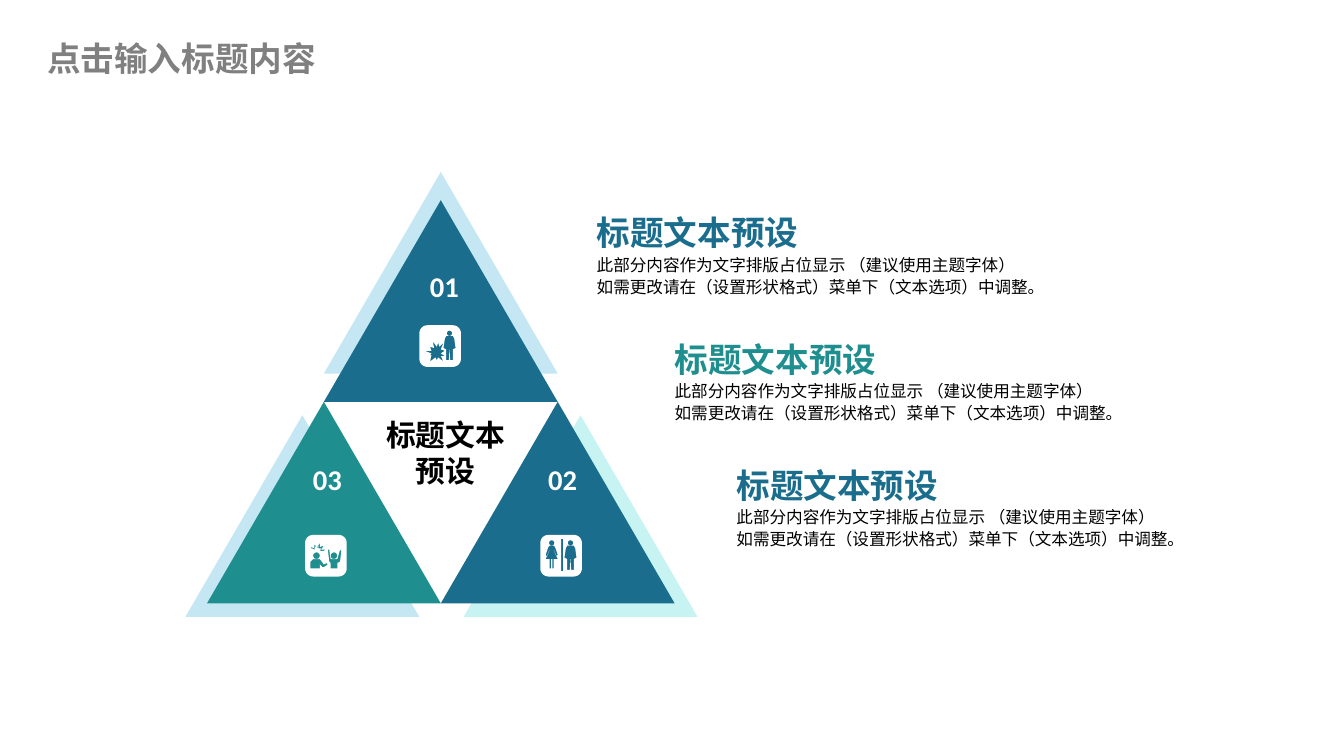
from math import cos, radians, sin

from lxml import etree
from pptx import Presentation
from pptx.dml.color import RGBColor
from pptx.enum.shapes import MSO_SHAPE
from pptx.enum.text import MSO_ANCHOR, PP_ALIGN
from pptx.oxml.ns import qn

TRI = MSO_SHAPE.ISOSCELES_TRIANGLE
TOP, MID = MSO_ANCHOR.TOP, MSO_ANCHOR.MIDDLE
LEFT, CENTER = PP_ALIGN.LEFT, PP_ALIGN.CENTER
LATIN, HAN = "Calibri", "Noto Sans CJK SC"
BLUE, TEAL, WHITE, BLACK, GRAY = "1A6D8C", "1F8E8F", "FFFFFF", "000000", "808080"
SKY, MINT = "C5E7F4", "C8F3F3"

prs = Presentation()
U = 9144  # grid unit: the slide is 1000 columns wide, at 16:9
prs.slide_width, prs.slide_height = 1000 * U, 1000 * U * 9 // 16
slide = prs.slides.add_slide(prs.slide_layouts[5])
shapes = slide.shapes


def paint(item, color):
    item.fill.solid()
    item.fill.fore_color.rgb = RGBColor.from_string(color)


def write(box, text, size, color, bold=True, face=LATIN, align=LEFT,
          anchor=TOP, wrap=False, pad=(0, 0), space=1):
    frame = box.text_frame
    frame.word_wrap, frame.vertical_anchor = wrap, anchor
    frame.margin_left, frame.margin_right = pad[0] * U, 0
    frame.margin_top = frame.margin_bottom = pad[1] * U
    frame.text = text  # \v breaks a line
    para = frame.paragraphs[0]
    para.alignment, para.line_spacing = align, space
    para.font.size, para.font.bold = int(size * 12700), bold
    paint(para.font, color)
    para.font.name = face
    props = para._p.pPr.find(qn("a:defRPr"))
    etree.SubElement(props, qn("a:ea")).set("typeface", HAN)


# Triangles: pale ones behind, strong ones in front
for x, y, color in [(241, 128, SKY), (345, 309, MINT), (138, 309, SKY),
                    (241, 149, BLUE), (328, 299, BLUE), (154, 299, TEAL)]:
    paint(shapes.add_shape(TRI, x * U, y * U, 174 * U, 150 * U), color)

# Middle label and numbers
box = shapes.add_textbox(277 * U, 305 * U, 109 * U, 65 * U)
write(box, "标题文本\v预设", 16, BLACK, align=CENTER, pad=(0, 5))
for text, x, y in [("01", 310, 195), ("02", 398, 339), ("03", 223, 339)]:
    box = shapes.add_textbox(x * U, y * U, 36 * U, 30 * U)
    write(box, text, 15.3, WHITE, pad=(10, 5))

# Icon outlines, in units from the badge's corner
man = [(19, 10), (20, 8), (25, 8), (26, 10), (27, 17), (25, 18), (25, 26),
       (23, 26), (22.5, 18), (22, 26), (20, 26), (20, 18), (18, 17)]
burst = [(9, 19), (8, 16), (11, 17), (10, 12), (13, 16), (14, 13), (15, 16),
         (18, 13), (16, 18), (19, 19), (16, 21), (19, 23), (16, 23), (18, 27),
         (14, 24), (13, 26), (12, 24), (8, 27), (9, 22), (7, 23), (9, 21), (4, 19)]
woman = [(4, 15), (6, 9), (7, 8), (10, 8), (11, 9), (13, 15), (12, 16), (10, 11),
         (13, 18), (10, 18), (10, 25), (9, 25), (9, 18), (8, 18), (8, 25),
         (7, 25), (7, 18), (4, 18), (7, 11), (5, 16)]
wall = [(15.5, 3), (17, 3), (17, 27), (15.5, 27)]
cheer = [(17, 11), (18, 11), (19, 18), (24, 18), (26, 11), (27, 12), (26, 20),
         (24, 21), (24, 25), (19, 25), (19, 21), (18, 20)]
reach = [(4, 25), (4, 20), (6, 18), (11, 18), (14, 22), (16, 21), (17, 22),
         (14, 24), (13, 24), (11, 22), (11, 25)]
spark = [(4, 9), (7, 10), (7, 7), (9, 9), (11, 6), (11, 9), (14, 8), (12, 11),
         (15, 11), (12, 14), (14, 12), (11, 12), (12, 10), (10, 10), (10, 8),
         (9, 10), (8, 8), (7, 11), (5, 10), (6, 12)]

# Rounded badge: a quarter circle of radius 6 at each corner
badge = [(cx + 6 * cos(radians(turn + step)), cy + 6 * sin(radians(turn + step)))
         for turn, cx, cy in [(0, 25, 25), (90, 6, 25), (180, 6, 6), (270, 25, 6)]
         for step in range(0, 91, 15)]

# Icons: each a badge with figures cut out; heads are centre and radius
icons = [
    (312, 242, [man, burst], [(22.5, 6, 2)]),
    (402, 398, [man, woman, wall], [(22.5, 6, 2), (8.5, 6, 2)]),
    (227, 398, [cheer, reach, spark], [(21.5, 15.5, 2.5), (8.5, 15.5, 2.5)]),
]
for x, y, cuts, heads in icons:
    rings = [[(cx + r * cos(radians(a)), cy + r * sin(radians(a)))
              for a in range(0, 360, 30)] for cx, cy, r in heads]
    pen = shapes.build_freeform(31 * U, 25 * U)
    for line in [badge] + cuts + rings:
        dots = [(dx * U, dy * U) for dx, dy in line]
        if line is not badge:
            pen.move_to(*dots[0])
        pen.add_line_segments(dots[1:])
    paint(pen.convert_to_shape(x * U, y * U), WHITE)

# Headings with notes, stepping down the right side
note = ("此部分内容作为文字排版占位显示 （建议使用主题字体）\v"
        "如需更改请在（设置形状格式）菜单下（文本选项）中调整。")
for row, (x, color) in enumerate([(444, BLUE), (502, TEAL), (548, BLUE)]):
    y = 156 + 94 * row
    box = shapes.add_textbox(x * U, (y + 32) * U, 360 * U, 40 * U)
    write(box, note, 8.9, BLACK, bold=False, wrap=True, space=1.1)
    box = shapes.add_textbox(x * U, y * U, 150 * U, 34 * U)
    write(box, "标题文本预设", 18, color, anchor=MID)

# Title
title = shapes.title
title.left, title.top, title.width, title.height = 35 * U, 22 * U, 233 * U, 42 * U
write(title, "点击输入标题内容", 18, GRAY, face=HAN, anchor=MID, wrap=True, pad=(0, 5))

# No outlines or shadows
for shape in shapes:
    shape.line.fill.background()
    shape.shadow.inherit = False

prs.save("out.pptx")
